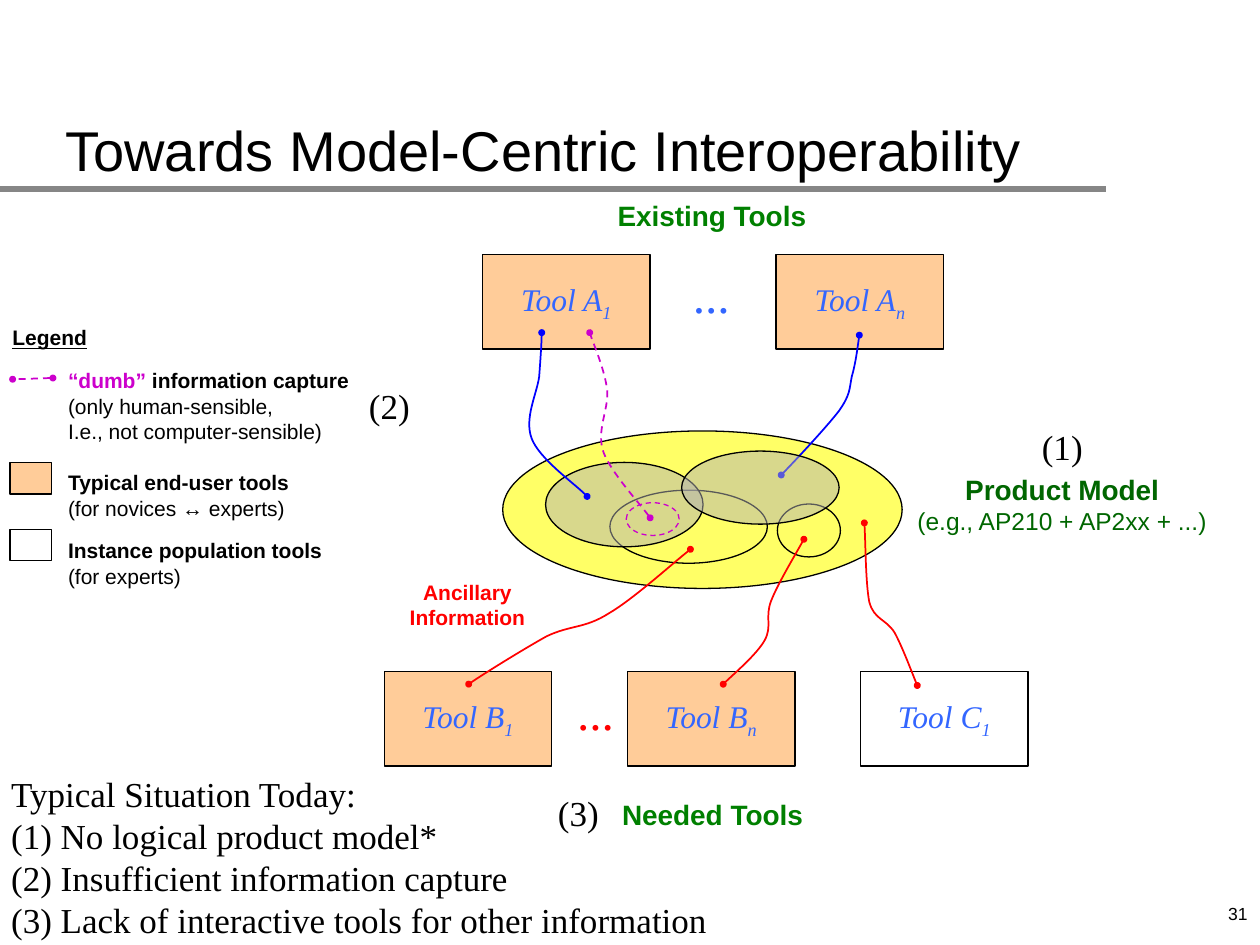
from dataclasses import dataclass
from typing import NamedTuple

from lxml import etree
from pptx import Presentation
from pptx.dml.color import RGBColor
from pptx.enum.dml import MSO_LINE
from pptx.enum.shapes import MSO_CONNECTOR, MSO_SHAPE
from pptx.enum.text import MSO_ANCHOR, MSO_AUTO_SIZE, PP_ALIGN
from pptx.oxml.ns import qn
from pptx.util import Pt

PX = 9144
RECT, OVAL = MSO_SHAPE.RECTANGLE, MSO_SHAPE.OVAL
LEFT, MID, RIGHT = PP_ALIGN.LEFT, PP_ALIGN.CENTER, PP_ALIGN.RIGHT
TOP, CENTER, BASE = MSO_ANCHOR.TOP, MSO_ANCHOR.MIDDLE, MSO_ANCHOR.BOTTOM
GROW, FIXED = MSO_AUTO_SIZE.SHAPE_TO_FIT_TEXT, MSO_AUTO_SIZE.NONE
DASH = MSO_LINE.DASH

BLACK, WHITE, RED, BLUE = "000000", "FFFFFF", "FF0000", "0000FF"
GREEN, FOREST, PINK, SKY = "008000", "006600", "CC00CC", "3366FF"
PEACH, LEMON, GREY, RULE = "FFCC99", "FFFF66", "B2B2B2", "868686"


def sans(size: int, bold: bool = False) -> dict:
    return dict(name="Arial", size=Pt(size), bold=bold)


def serif(size: int, italic: bool = False) -> dict:
    return dict(name="Times New Roman", size=Pt(size), italic=italic)


HEAD, BODY = sans(12, True), sans(12)
BREAK = "\n"


class Run(NamedTuple):
    text: str
    form: dict
    color: str = BLACK
    sub: bool = False


@dataclass
class Box:
    x: int
    y: int
    w: int
    h: int
    fill: str | None
    kind: int = RECT
    line: str = BLACK
    dash: int | None = None
    alpha: int = 100
    rows: tuple = ()


@dataclass
class Note:
    x: int
    y: int
    w: int
    h: int
    rows: tuple
    align: int = LEFT
    inset: bool = False
    anchor: int = TOP
    wrap: bool = False


@dataclass
class Curve:
    color: str
    dots: tuple
    dash: int | None = None


def hue(code: str) -> RGBColor:
    return RGBColor.from_string(code)


def write(frame, rows: tuple, align: int, inset: bool, **form) -> None:
    side, edge = (10 * PX, 5 * PX) if inset else (0, 0)
    form |= dict(margin_left=side, margin_right=side, margin_top=edge, margin_bottom=edge)
    for key, value in form.items():
        setattr(frame, key, value)
    for i, row in enumerate(rows):
        para = frame.add_paragraph() if i else frame.paragraphs[0]
        para.alignment = align
        for part in row:
            if part.text == BREAK:
                para.add_line_break()
                continue
            run = para.add_run()
            run.text = part.text
            for key, value in part.form.items():
                setattr(run.font, key, value)
            run.font.color.rgb = hue(part.color)
            if part.sub:
                run.font._element.set("baseline", "-25000")


def stroke(line, color: str, width: float, dash: int | None = None) -> None:
    line.color.rgb = hue(color)
    line.width = Pt(width)
    if dash:
        line.dash_style = dash


def draw_box(shapes, box: Box) -> None:
    shape = shapes.add_shape(box.kind, *(v * PX for v in (box.x, box.y, box.w, box.h)))
    shape.shadow.inherit = False
    stroke(shape.line, box.line, 0.75, box.dash)
    if box.fill:
        shape.fill.solid()
        shape.fill.fore_color.rgb = hue(box.fill)
    else:
        shape.fill.background()
    if box.alpha < 100:
        tint = shape._element.spPr.find(f"{qn('a:solidFill')}/{qn('a:srgbClr')}")
        etree.SubElement(tint, qn("a:alpha"), val=str(box.alpha * 1000))
    if box.rows:
        write(shape.text_frame, box.rows, MID, False, word_wrap=False, vertical_anchor=CENTER)


def draw_note(shapes, note: Note) -> None:
    shape = shapes.add_textbox(*(v * PX for v in (note.x, note.y, note.w, note.h)))
    write(shape.text_frame, note.rows, note.align, note.inset, word_wrap=note.wrap,
          vertical_anchor=note.anchor, auto_size=FIXED if note.wrap else GROW)


def draw_curve(shapes, curve: Curve) -> None:
    first, *rest = curve.dots
    pen = shapes.build_freeform(*first, scale=PX)
    pen.add_line_segments(rest, close=False)
    shape = pen.convert_to_shape()
    shape.shadow.inherit = False
    shape.fill.background()
    stroke(shape.line, curve.color, 1, curve.dash)
    legs = list(shape._element.iter(qn("a:lnTo")))
    for i in range(0, len(legs), 3):
        bend = etree.Element(qn("a:cubicBezTo"))
        legs[i].addprevious(bend)
        for leg in legs[i:i + 3]:
            bend.append(leg[0])
            leg.getparent().remove(leg)
    for end in ("a:headEnd", "a:tailEnd"):
        etree.SubElement(shape.line._get_or_add_ln(), qn(end), type="oval", w="sm", len="sm")


def tool(x: int, y: int, name: str, sub: str, fill: str = PEACH) -> Box:
    form = serif(18, True)
    row = (Run(f"Tool {name}", form, SKY), Run(sub, form, SKY, True))
    return Box(x, y, 133, 75, fill, rows=(row,))


def mark(x: int, y: int, text: str) -> Note:
    return Note(x, y, 58, 44, ((Run(text, serif(20)),),), inset=True)


def gap(x: int, y: int, color: str) -> Note:
    return Note(x, y, 49, 57, ((Run("...", serif(28, True), color),),), MID, True)


def key(y: int, name: str, hint: str) -> Note:
    return Note(54, y, 210, 40, ((Run(name, HEAD),), (Run(hint, BODY),)))


BIG = serif(20)
ITEMS = (
    Box(399, 342, 317, 125, LEMON, OVAL),
    Box(484, 389, 125, 58, LEMON, OVAL),
    Note(325, 460, 92, 40, tuple((Run(t, HEAD, RED),) for t in ("Ancillary", "Information")), MID),
    Note(493, 633, 145, 27, ((Run("Needed Tools", sans(16, True), GREEN),),), MID),
    tool(305, 533, "B", "1"),
    tool(683, 533, "C", "1", WHITE),
    gap(449, 536, RED),
    Curve(RED, ((372, 543), (382, 536), (416, 515), (434, 505), (453, 496),
                (464, 499), (483, 487), (502, 476), (534, 447), (548, 436))),
    Curve(RED, ((728, 544), (725, 537), (716, 513), (710, 502), (703, 491),
                (694, 492), (690, 478), (687, 463), (687, 428), (686, 415))),
    Box(617, 400, 50, 42, LEMON, OVAL),
    tool(498, 533, "B", "n"),
    Curve(RED, ((574, 543), (580, 537), (601, 519), (607, 508), (613, 497),
                (607, 490), (612, 477), (617, 464), (632, 439), (638, 428))),
    Box(8, 367, 33, 25, PEACH),
    key(373, "Typical end-user tools", "(for novices ↔ experts)"),
    Box(8, 420, 33, 25, WHITE),
    key(427, "Instance population tools", "(for experts)"),
    Note(42, 29, 942, 121, ((Run("Towards Model-Centric Interoperability", sans(32)),),),
         inset=True, anchor=BASE, wrap=True),
    Note(489, 158, 152, 27, ((Run("Existing Tools", sans(16, True), GREEN),),), MID),
    tool(383, 202, "A", "1"),
    tool(616, 202, "A", "n"),
    Note(727, 375, 232, 50, ((Run("Product Model", sans(16, True), FOREST),),
                             (Run("(e.g., AP210 + AP2xx + ...)", sans(14), FOREST),)), MID),
    gap(541, 205, SKY),
    Box(433, 367, 125, 67, GREY, OVAL, alpha=50),
    Curve(BLUE, ((620, 377), (628, 369), (656, 339), (666, 326), (675, 313),
                 (674, 309), (676, 299), (679, 289), (681, 273), (682, 266))),
    Curve(BLUE, ((466, 394), (459, 386), (428, 364), (422, 348), (416, 332),
                 (426, 313), (428, 299), (429, 285), (430, 271), (430, 264))),
    Curve(PINK, ((516, 411), (510, 402), (485, 375), (479, 359), (473, 342),
                 (483, 326), (482, 310), (480, 294), (471, 273), (468, 264)), DASH),
    Box(497, 399, 42, 26, None, OVAL, PINK, DASH),
    Curve(PINK, ((42, 300), (36, 300), (17, 301), (10, 301)), DASH),
    Note(54, 292, 230, 60, ((Run("“dumb” ", HEAD, PINK), Run("information capture", HEAD)),
                            (Run("(only human-sensible,", BODY),),
                            (Run("I.e., not computer-sensible)", BODY),))),
    Box(541, 358, 125, 58, GREY, OVAL, alpha=50),
    Note(0, 253, 79, 30, ((Run("Legend", HEAD | dict(underline=True)),),), MID, True),
    Note(-1, 608, 590, 144, (
        (Run("Typical Situation Today:", BIG), Run(BREAK, BIG), Run("(1) No logical product model*", BIG)),
        (Run("(2) Insufficient information capture", BIG),),
        (Run("(3) Lack of interactive tools for other information", BIG),)), inset=True),
    mark(817, 333, "(1)"),
    mark(283, 300, "(2)"),
    mark(433, 623, "(3)"),
    Note(792, 700, 208, 50, ((Run("31", sans(10)),),), RIGHT, True, CENTER, True),
)
DRAW = {Box: draw_box, Note: draw_note, Curve: draw_curve}


def main() -> None:
    deck = Presentation()
    deck.slide_width, deck.slide_height = 1000 * PX, 750 * PX
    shapes = deck.slides.add_slide(deck.slide_layouts[6]).shapes
    rule = shapes.add_connector(MSO_CONNECTOR.STRAIGHT, 0, 150 * PX, 878 * PX, 150 * PX)
    stroke(rule.line, RULE, 4)
    etree.SubElement(rule._element.spPr, qn("a:effectLst"))
    for item in ITEMS:
        DRAW[type(item)](shapes, item)
    deck.save("out.pptx")


if __name__ == "__main__":
    main()
